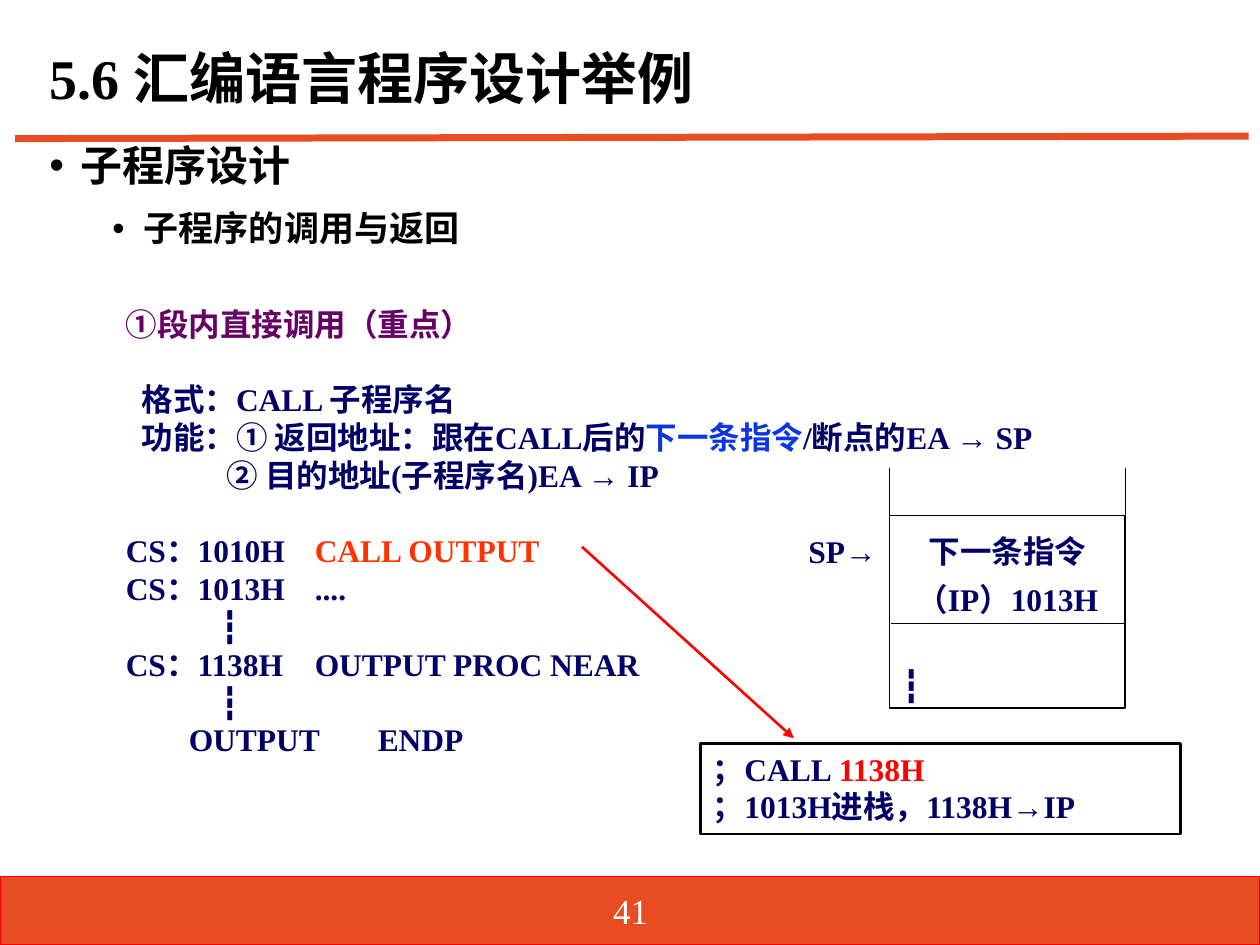
from lxml import etree
from pptx import Presentation
from pptx.dml.color import RGBColor
from pptx.enum.shapes import MSO_CONNECTOR, MSO_SHAPE
from pptx.enum.text import MSO_ANCHOR, MSO_AUTO_SIZE, PP_ALIGN
from pptx.oxml.ns import qn
from pptx.util import Pt

LEFT, CENTER = PP_ALIGN.LEFT, PP_ALIGN.CENTER
TOP, MIDDLE = MSO_ANCHOR.TOP, MSO_ANCHOR.MIDDLE
NO_AUTOFIT = MSO_AUTO_SIZE.NONE
STRAIGHT, RECT = MSO_CONNECTOR.STRAIGHT, MSO_SHAPE.RECTANGLE

ORANGE = RGBColor(0xE8, 0x4C, 0x22)
RED = RGBColor(0xFF, 0, 0)
CALL_RED = RGBColor(0xFF, 0x33, 0)
BLACK = RGBColor(0, 0, 0)
WHITE = RGBColor(0xFF, 0xFF, 0xFF)
NAVY = RGBColor(0, 0, 0x66)
PURPLE = RGBColor(0x66, 0, 0x66)
BLUE = RGBColor(0x0D, 0x36, 0xE3)

LATIN, CJK = "Times New Roman", "Noto Sans CJK SC"
PITCH = 21.6  # line pitch of the 18 pt text


def add_text(p, runs, size=18, bold=True, align=LEFT, spacing=None,
             before=0, margin=0, indent=0, tabs=(), bullet=None):
    """Format paragraph p and fill it with (text, colour) runs."""
    p.alignment = align
    p.line_spacing = spacing
    p.space_before = Pt(before)
    pPr = p._p.get_or_add_pPr()
    pPr.set("marL", str(Pt(margin)))
    pPr.set("indent", str(Pt(indent)))
    if bullet:
        etree.SubElement(pPr, qn("a:buChar")).set("char", bullet)
    if tabs:
        tab_list = etree.SubElement(pPr, qn("a:tabLst"))
        for pos in tabs:
            tab = etree.SubElement(tab_list, qn("a:tab"))
            tab.set("pos", str(Pt(pos)))
            tab.set("algn", "l")
    for text, color in runs:
        r = p.add_run()
        r.text = text
        r.font.size, r.font.bold, r.font.name = Pt(size), bold, LATIN
        r.font.color.rgb = color
        etree.SubElement(r._r.get_or_add_rPr(), qn("a:ea")).set("typeface", CJK)


def add_line(x1, y1, x2, y2, color=BLACK, width=0.75, arrow=False):
    line = s.shapes.add_connector(STRAIGHT, Pt(x1), Pt(y1), Pt(x2), Pt(y2))
    line.line.color.rgb = color
    line.line.width = Pt(width)
    if arrow:
        ln = line.line._get_or_add_ln()
        etree.SubElement(ln, qn("a:tailEnd")).set("type", "triangle")
    etree.SubElement(line._element.spPr, qn("a:effectLst"))


prs = Presentation()
prs.slide_width, prs.slide_height = Pt(720), Pt(540)
s = prs.slides.add_slide(prs.slide_layouts[1])

# Footer band and title rule
band = s.shapes.add_shape(RECT, Pt(0), Pt(501), Pt(720), Pt(39))
band.shadow.inherit = False
band.fill.solid()
band.fill.fore_color.rgb = ORANGE
band.line.color.rgb = RED
band.line.width = Pt(0)
add_line(8.6, 79.2, 713.5, 77.8, ORANGE, 4)

# Title and outline
title, body = s.shapes.title, s.placeholders[1]
for sp, top, height, anchor in [(title, 15, 63.4, MIDDLE), (body, 79.2, 421, TOP)]:
    sp.left, sp.top, sp.width, sp.height = Pt(21), Pt(top), Pt(680), Pt(height)
    sp.text_frame.auto_size = NO_AUTOFIT
    sp.text_frame.vertical_anchor = anchor
add_text(title.text_frame.paragraphs[0], [("5.6 汇编语言程序设计举例", BLACK)],
         32, spacing=0.9)
outline = [("子程序设计", 24, 18), ("子程序的调用与返回", 20, 54)]
for level, (text, size, margin) in enumerate(outline):
    tf = body.text_frame
    p = tf.add_paragraph() if level else tf.paragraphs[0]
    p.level = level
    p.space_after = Pt(6)
    add_text(p, [(text, BLACK)], size, spacing=0.9, before=6,
             margin=margin, indent=-18, bullet="•")

# Page number
number = s.shapes.add_textbox(Pt(279.4), Pt(506), Pt(162), Pt(29))
number.text_frame.word_wrap = True
number.text_frame.vertical_anchor = MIDDLE
add_text(number.text_frame.paragraphs[0], [("41", WHITE)], 20, False, CENTER)

# Explanation and code: runs, left margin, space before, bold
code_lines = [
    ([("①段内直接调用（重点）", PURPLE)], 0, 0, True),
    ([("格式：CALL 子程序名", NAVY)], 9, PITCH, True),
    ([("功能：① 返回地址：跟在CALL后的", NAVY), ("下一条指令", BLUE),
      ("/断点的EA → SP", NAVY)], 9, 0, True),
    ([("② 目的地址(子程序名)EA → IP", NAVY)], 57.6, 0, True),
    ([("CS：1010H\t", NAVY), ("CALL OUTPUT", CALL_RED)], 0, PITCH, True),
    ([("CS：1013H\t....", NAVY)], 0, 0, True),
    ([("┇", NAVY)], 54, 0, False),
    ([("CS：1138H\tOUTPUT PROC NEAR", NAVY)], 0, 0, True),
    ([("┇", NAVY)], 54, 0, False),
    ([("\tOUTPUT\tENDP", NAVY)], 0, 0, True),
]
code = s.shapes.add_textbox(Pt(64.8), Pt(170.6), Pt(633.6), Pt(269))
tf = code.text_frame
tf.word_wrap = True
for i, (runs, margin, before, bold) in enumerate(code_lines):
    p = tf.add_paragraph() if i else tf.paragraphs[0]
    tabs = ()
    if "\t" in runs[0][0]:
        tabs = (90, 178) if runs[0][0].startswith("\t") else (108.5,)
    add_text(p, runs, bold=bold, spacing=Pt(PITCH), before=before,
             margin=margin, tabs=tabs)

# Call note and stack cell
note = s.shapes.add_shape(RECT, Pt(400.3), Pt(424.8), Pt(274.3), Pt(51.8))
note.fill.background()
stack = s.shapes.add_shape(RECT, Pt(508.3), Pt(294.5), Pt(134.6), Pt(110.2))
stack.fill.solid()
stack.fill.fore_color.rgb = WHITE
for sp, width in [(note, 1.5), (stack, 0.75)]:
    sp.shadow.inherit = False
    sp.line.color.rgb = BLACK
    sp.line.width = Pt(width)
    sp.text_frame.word_wrap = True
    sp.text_frame.vertical_anchor = TOP
tf = note.text_frame
add_text(tf.paragraphs[0], [("；CALL\t", NAVY), ("1138H", RED)],
         spacing=Pt(PITCH), tabs=(103,))
add_text(tf.add_paragraph(), [("；1013H进栈，1138H→IP", NAVY)], spacing=Pt(PITCH))
tf = stack.text_frame
add_text(tf.paragraphs[0], [("下一条指令（IP）1013H", NAVY)],
         align=CENTER, spacing=Pt(27.6))
add_text(tf.add_paragraph(), [("┇", NAVY)], spacing=Pt(PITCH), before=27.6)

# Stack pointer label, stack edges and call arrow
pointer = s.shapes.add_textbox(Pt(455.8), Pt(293.8), Pt(51.1), Pt(33.8))
tf = pointer.text_frame
tf.word_wrap = True
tf.margin_left = tf.margin_right = Pt(1.4)
tf.margin_top = tf.margin_bottom = Pt(0.7)
add_text(tf.paragraphs[0], [("SP→", NAVY)], align=CENTER, spacing=1.44)
add_line(509, 356.4, 643, 356.4)
for x in (508.3, 643):
    add_line(x, 267.5, x, 295.5)
add_line(332.6, 312.5, 453.6, 421.9, RED, 1.5, arrow=True)

prs.save("out.pptx")
